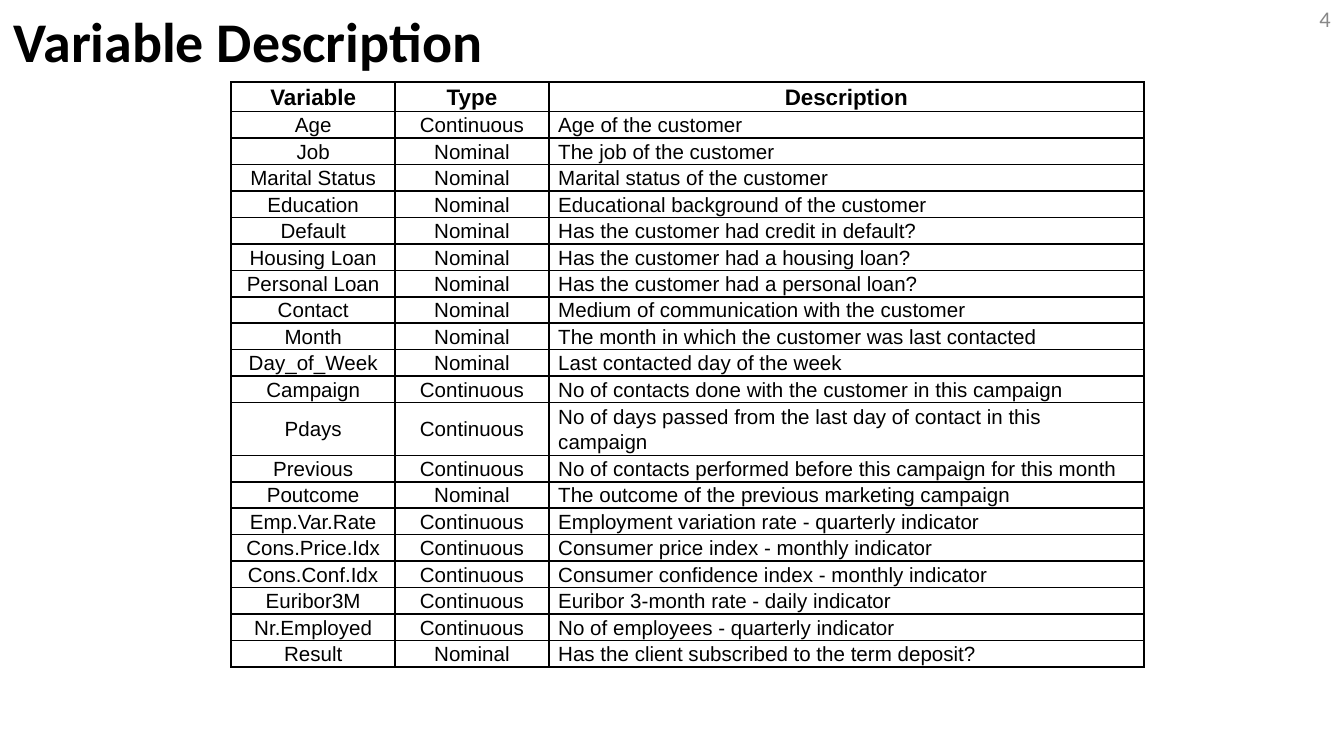
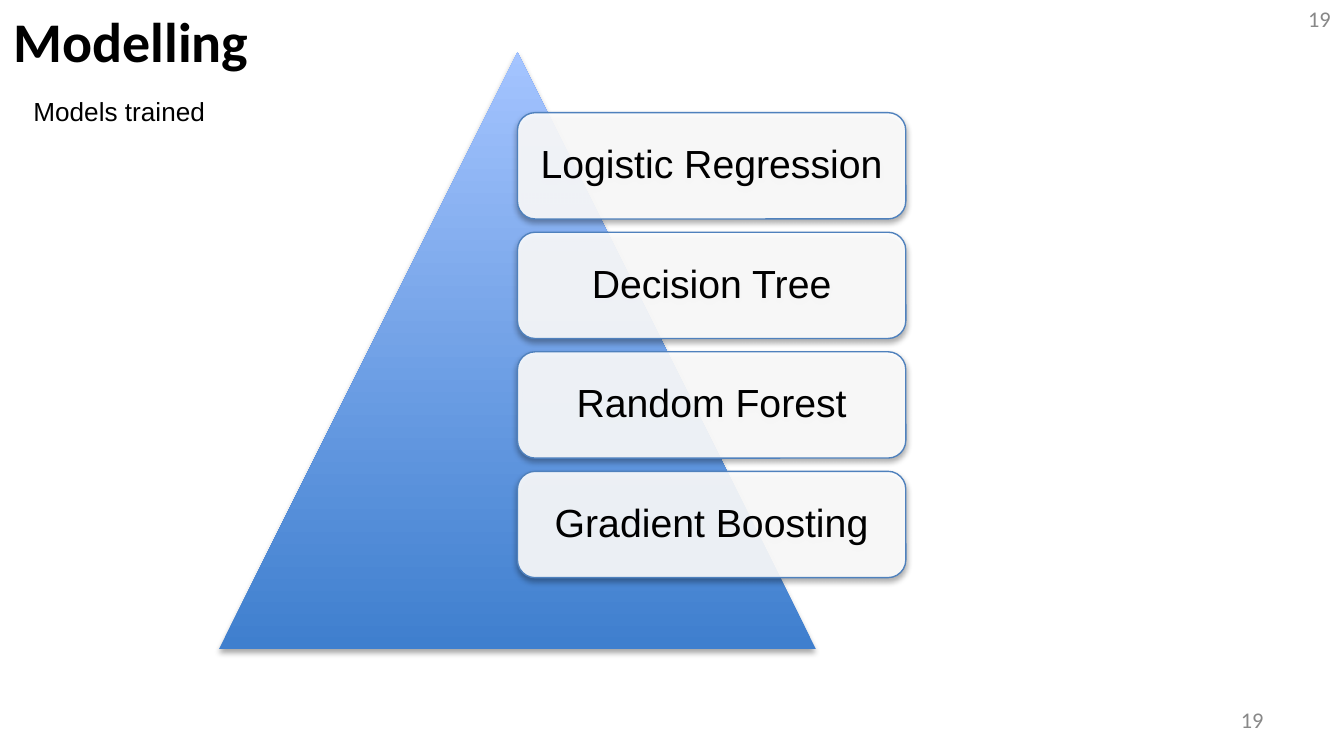
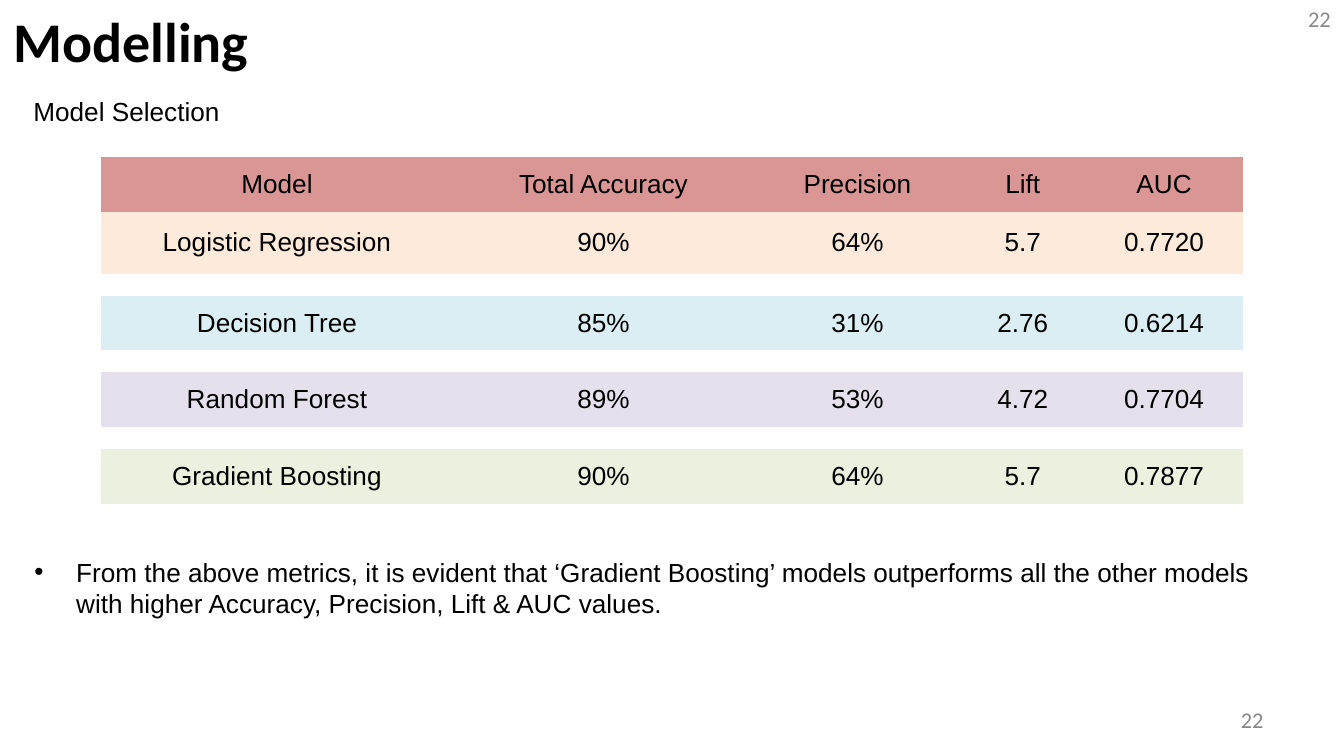
"""Build three slides on the variables, models and model choice of a bank campaign."""
import lxml.etree
import pptx
import pptx.dml.color
import pptx.enum.shapes
import pptx.enum.text
import pptx.oxml.ns
import pptx.util

Cm = pptx.util.Cm
Pt = pptx.util.Pt
Rgb = pptx.dml.color.RGBColor.from_string
Align = pptx.enum.text.PP_ALIGN
Anchor = pptx.enum.text.MSO_ANCHOR
Kind = pptx.enum.shapes.MSO_SHAPE
qn = pptx.oxml.ns.qn
add = lxml.etree.SubElement


class Theme:
    head_face, body_face = "Calibri", "Arial"
    ink, grey, white, edge = "000000", "888888", "FFFFFF", "4F81BD"
    deep, light = "3F7FCE", "A4C4FF"
    bands = ["D99694", "FDEADA", "DBEEF4", "E6E0EC", "EBF1DE"]
    title, label, text, head, cell, page = 30, 21, 14, 12, 11, 12
    no_style = "{2D5ABB26-0587-4C30-8999-92F81FD0307C}"


def write(para, text, size, align=Align.LEFT, face=Theme.body_face, hue=Theme.ink, bold=False):
    """Add one styled run to a paragraph."""
    para.alignment = align
    run = para.add_run()
    run.text = text
    run.font.size = Pt(size)
    run.font.name = face
    run.font.bold = bold
    run.font.color.rgb = Rgb(hue)


def grid(slide, left, top, cols, rows):
    """Add a plain table with the given column widths and row heights in cm."""
    frame = slide.shapes.add_table(len(rows), len(cols), Cm(left), Cm(top), Cm(sum(cols)), Cm(sum(rows)))
    table = frame.table
    table.first_row = table.horz_banding = False
    table._tbl.tblPr.find(qn("a:tableStyleId")).text = Theme.no_style
    for col, width in zip(table.columns, cols):
        col.width = Cm(width)
    for row, height in zip(table.rows, rows):
        row.height = Cm(height)
    return table


deck = pptx.Presentation()
deck.slide_width, deck.slide_height = Cm(25.4), Cm(14.29)

top_spot, foot_spot = (19.48, -0.03), (18.21, 13.23)
pages = [
    (5, "Variable Description", "4", [top_spot], []),
    (1, "Modelling", "19", [foot_spot, top_spot], ["Models trained"]),
    (3, "Modelling", "22", [foot_spot, top_spot], [
        "Model Selection",
        "From the above metrics, it is evident that ‘Gradient Boosting’ models outperforms all "
        "the other models with higher Accuracy, Precision, Lift & AUC values."]),
]
bodies = [
    (0, 1.55, 7.06, 1.12, 0.38, 0, None),
    (0, 10.26, 24.82, 1.7, 1.19, -0.79, "•"),
]
for layout, title, number, spots, texts in pages:
    slide = deck.slides.add_slide(deck.slide_layouts[layout])
    head = slide.shapes.title
    head.left, head.top, head.width, head.height = 0, 0, Cm(20.55), Cm(1.55)
    head.text_frame.vertical_anchor = Anchor.TOP
    head.text_frame.auto_size = pptx.enum.text.MSO_AUTO_SIZE.NONE
    write(head.text_frame.paragraphs[0], title, Theme.title, face=Theme.head_face, bold=True)

    for left, top in spots:
        page = slide.shapes.add_textbox(Cm(left), Cm(top), Cm(5.92), Cm(0.76)).text_frame
        page.word_wrap = True
        page.vertical_anchor = Anchor.MIDDLE
        write(page.paragraphs[0], number, Theme.page, Align.RIGHT, Theme.head_face, Theme.grey)

    for index, (text, body) in enumerate(zip(texts, bodies), 1):
        left, top, width, height, margin, indent, bullet = body
        holder = slide.placeholders[index]
        holder.left, holder.top, holder.width, holder.height = Cm(left), Cm(top), Cm(width), Cm(height)
        frame = holder.text_frame
        frame.auto_size = pptx.enum.text.MSO_AUTO_SIZE.NONE
        frame.margin_left = frame.margin_right = frame.margin_top = frame.margin_bottom = Cm(0.25)
        para = frame.paragraphs[0]
        para.space_before = Pt(0)
        write(para, text, Theme.text)
        props = para._p.get_or_add_pPr()
        props.set("marL", str(Cm(margin)))
        props.set("indent", str(Cm(indent)))
        if bullet:
            add(props, qn("a:buChar"), char=bullet)
        else:
            add(props, qn("a:buNone"))

first, second, third = deck.slides

fields = [
    ("Variable", "Type", "Description"),
    ("Age", "Continuous", "Age of the customer"),
    ("Job", "Nominal", "The job of the customer"),
    ("Marital Status", "Nominal", "Marital status of the customer"),
    ("Education", "Nominal", "Educational background of the customer"),
    ("Default", "Nominal", "Has the customer had credit in default?"),
    ("Housing Loan", "Nominal", "Has the customer had a housing loan?"),
    ("Personal Loan", "Nominal", "Has the customer had a personal loan?"),
    ("Contact", "Nominal", "Medium of communication with the customer"),
    ("Month", "Nominal", "The month in which the customer was last contacted"),
    ("Day_of_Week", "Nominal", "Last contacted day of the week"),
    ("Campaign", "Continuous", "No of contacts done with the customer in this campaign"),
    ("Pdays", "Continuous", "No of days passed from the last day of contact in this campaign"),
    ("Previous", "Continuous", "No of contacts performed before this campaign for this month"),
    ("Poutcome", "Nominal", "The outcome of the previous marketing campaign"),
    ("Emp.Var.Rate", "Continuous", "Employment variation rate - quarterly indicator"),
    ("Cons.Price.Idx", "Continuous", "Consumer price index - monthly indicator"),
    ("Cons.Conf.Idx", "Continuous", "Consumer confidence index - monthly indicator"),
    ("Euribor3M", "Continuous", "Euribor 3-month rate - daily indicator"),
    ("Nr.Employed", "Continuous", "No of employees - quarterly indicator"),
    ("Result", "Nominal", "Has the client subscribed to the term deposit?"),
]
table = grid(first, 4.37, 1.55, [3.1, 2.9, 11.25], [0.56] + [0.5] * (len(fields) - 1))
for r, field in enumerate(fields):
    for c, text in enumerate(field):
        cell = table.cell(r, c)
        cell.margin_left = cell.margin_right = Cm(0.18)
        cell.margin_top = cell.margin_bottom = 0
        cell.vertical_anchor = Anchor.MIDDLE
        for side in ("a:lnL", "a:lnR", "a:lnT", "a:lnB"):
            line = add(cell._tc.get_or_add_tcPr(), qn(side), w=str(Pt(1)))
            add(add(line, qn("a:solidFill")), qn("a:srgbClr"), val=Theme.ink)
        cell.fill.background()
        para = cell.text_frame.paragraphs[0]
        para.line_spacing = 1.07
        align = Align.LEFT if r and c == 2 else Align.CENTER
        write(para, text, Theme.cell if r else Theme.head, align, bold=r == 0)

models = ["Logistic Regression", "Decision Tree", "Random Forest", "Gradient Boosting"]
group = second.shapes.add_group_shape().shapes
peak = group.add_shape(Kind.ISOSCELES_TRIANGLE, Cm(4.14), Cm(0.99), Cm(11.28), Cm(11.28))
peak.fill.gradient()
peak.fill.gradient_angle = 90
for stop, hue in zip(peak.fill.gradient_stops, (Theme.deep, Theme.light)):
    stop.color.rgb = Rgb(hue)
peak.line.fill.background()
for i, model in enumerate(models):
    card = group.add_shape(Kind.ROUNDED_RECTANGLE, Cm(9.78), Cm(2.13 + 2.26 * i), Cm(7.34), Cm(2.01))
    card.fill.solid()
    card.fill.fore_color.rgb = Rgb(Theme.white)
    add(card.fill._xPr.find(qn("a:solidFill"))[0], qn("a:alpha"), val="90000")
    card.line.color.rgb = Rgb(Theme.edge)
    card.line.width = Pt(0.75)
    frame = card.text_frame
    frame.word_wrap = True
    frame.margin_left = frame.margin_right = frame.margin_top = frame.margin_bottom = Cm(0.23)
    frame.paragraphs[0].line_spacing = 0.9
    write(frame.paragraphs[0], model, Theme.label, Align.CENTER)
for shape in group:
    shape.shadow.inherit = False
    glow = add(shape._element.spPr.find(qn("a:effectLst")), qn("a:outerShdw"),
               blurRad=str(Pt(3.1)), dist=str(Pt(1.8)), dir="5400000", rotWithShape="0")
    add(add(glow, qn("a:srgbClr"), val=Theme.ink), qn("a:alpha"), val="35000")

scores = [
    ("90%", "64%", "5.7", "0.7720"),
    ("85%", "31%", "2.76", "0.6214"),
    ("89%", "53%", "4.72", "0.7704"),
    ("90%", "64%", "5.7", "0.7877"),
]
rows = [("Model", "Total Accuracy", "Precision", "Lift", "AUC")]
rows += [(model, *score) for model, score in zip(models, scores)]
gap, high = 0.42, 1.03
table = grid(third, 1.91, 2.97, [6.65, 5.69, 3.91, 2.34, 3.0],
             [high, 1.17, gap, high, gap, high, gap, high])
for r, (row, hue) in enumerate(zip(rows, Theme.bands)):
    for c, text in enumerate(row):
        cell = table.cell(max(r, 2 * r - 1), c)
        cell.vertical_anchor = Anchor.MIDDLE
        cell.fill.solid()
        cell.fill.fore_color.rgb = Rgb(hue)
        write(cell.text_frame.paragraphs[0], text, Theme.text, Align.CENTER)
for r in (2, 4, 6):
    for cell in table.rows[r].cells:
        cell.margin_top = cell.margin_bottom = 0
        cell.fill.background()
        add(cell.text_frame.paragraphs[0]._p, qn("a:endParaRPr"), sz="600")

deck.save("out.pptx")
